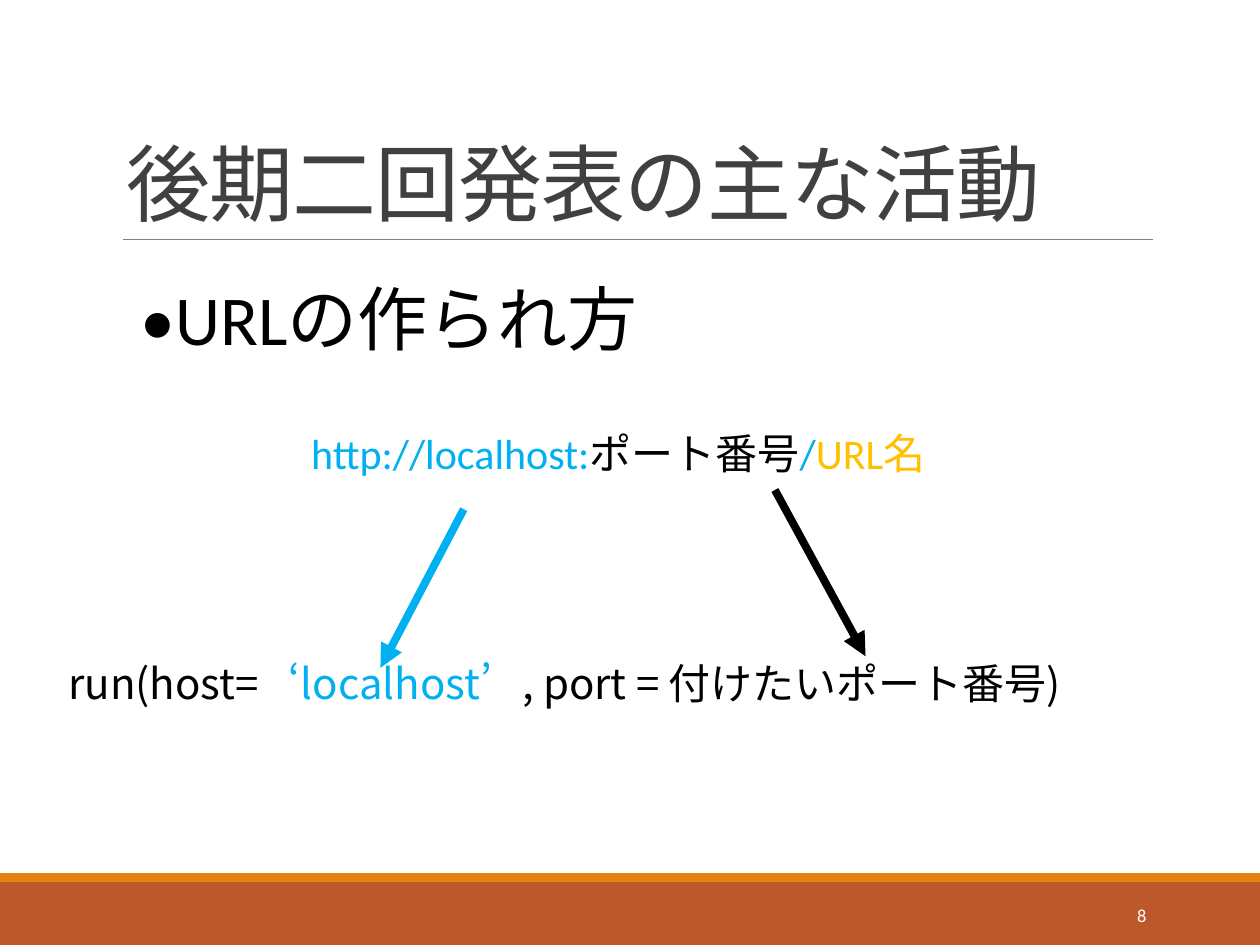
from lxml.etree import SubElement
from pptx import Presentation
from pptx.dml.color import RGBColor
from pptx.enum.lang import MSO_LANGUAGE_ID as Lang
from pptx.enum.shapes import MSO_CONNECTOR as Conn, MSO_SHAPE as Shape
from pptx.enum.text import MSO_ANCHOR as Anchor, PP_ALIGN as Align
from pptx.oxml.ns import qn
from pptx.util import Pt

COLORS = {
    "footer": "BD582C",
    "stripe": "E48312",
    "rule": "808080",
    "title": "404040",
    "host": "00B0F0",
    "url": "FFC000",
    "text": "000000",
    "page": "FFFFFF",
}
LATIN, CJK = "Calibri", "Noto Sans CJK JP"
QUOTE_GAP = 17.3


def rgb(name):
    return RGBColor.from_string(COLORS[name])


def add_text(s, box, runs, size, font=LATIN, anchor=Anchor.TOP, align=Align.LEFT,
             line=1.0, before=0, after=0, side=7.2, spacing=0):
    """Add one paragraph; runs are (text, color[, font[, letter spacing]])."""
    tf = s.shapes.add_textbox(*map(Pt, box)).text_frame
    tf.word_wrap = True
    tf.vertical_anchor = anchor
    tf.margin_left = tf.margin_right = Pt(side)
    p = tf.paragraphs[0]
    p.alignment, p.line_spacing = align, line
    p.space_before, p.space_after = Pt(before), Pt(after)
    for text, color, *own in runs:
        r = p.add_run()
        r.text = text
        r.font.name = own[0] if own else font
        r.font.size = Pt(size)
        r.font.color.rgb = rgb(color)
        r.font.language_id = Lang.JAPANESE
        r_pr = r.font._element
        SubElement(r_pr, qn("a:ea")).set("typeface", CJK)
        gap = own[1] if len(own) > 1 else spacing
        if gap:
            r_pr.set("spc", str(round(gap * 100)))


def add_bar(s, box, color):
    sp = s.shapes.add_shape(Shape.RECTANGLE, *map(Pt, box))
    sp.shadow.inherit = False
    sp.fill.solid()
    sp.fill.fore_color.rgb = rgb(color)
    sp.line.fill.background()


def add_line(s, start, end, color, width, arrow=False):
    cxn = s.shapes.add_connector(Conn.STRAIGHT, *map(Pt, start + end))
    cxn.line.color.rgb = rgb(color)
    cxn.line.width = Pt(width)
    if arrow:
        SubElement(cxn.line._get_or_add_ln(), qn("a:tailEnd")).set("type", "triangle")
    SubElement(cxn._element.spPr, qn("a:effectLst"))


def main():
    prs = Presentation()
    prs.slide_width, prs.slide_height = Pt(720), Pt(540)
    s = prs.slides.add_slide(prs.slide_layouts[6])

    add_bar(s, (0, 504, 720, 36), "footer")
    add_bar(s, (0, 499, 720, 5), "stripe")
    add_line(s, (70.5, 136.8), (658.8, 136.8), "rule", 0.5)

    add_text(s, (65, 22.3, 594, 114.3), [("後期二回発表の主な活動", "title")], 48,
             anchor=Anchor.BOTTOM, line=0.85, spacing=-0.55)
    add_text(s, (170.8, 240.5, 374, 36), [
        ("http://localhost:", "host"),
        ("ポート番号", "text", CJK),
        ("/", "host"),
        ("URL名", "url"),
    ], 24)
    add_text(s, (39, 375.5, 660, 32.5), [
        ("run(host", "text"),
        ("=", "text", CJK, QUOTE_GAP),
        ("‘localhost", "host"),
        ("’", "host", CJK, QUOTE_GAP),
        (", port = 付けたいポート番号)", "text"),
    ], 24, font=CJK, line=0.9, before=12, after=2, side=0)

    add_line(s, (265, 291), (217.4, 381.6), "host", 4.5, arrow=True)
    add_line(s, (442.8, 280), (494.6, 375), "text", 4.5, arrow=True)

    add_text(s, (73.4, 154, 382.4, 55.5), [("•URLの作られ方", "text")], 40)
    add_text(s, (584.3, 508.3, 77.8, 28.8), [("8", "page")], 10.5,
             anchor=Anchor.MIDDLE, align=Align.RIGHT)

    prs.save("out.pptx")


if __name__ == "__main__":
    main()
